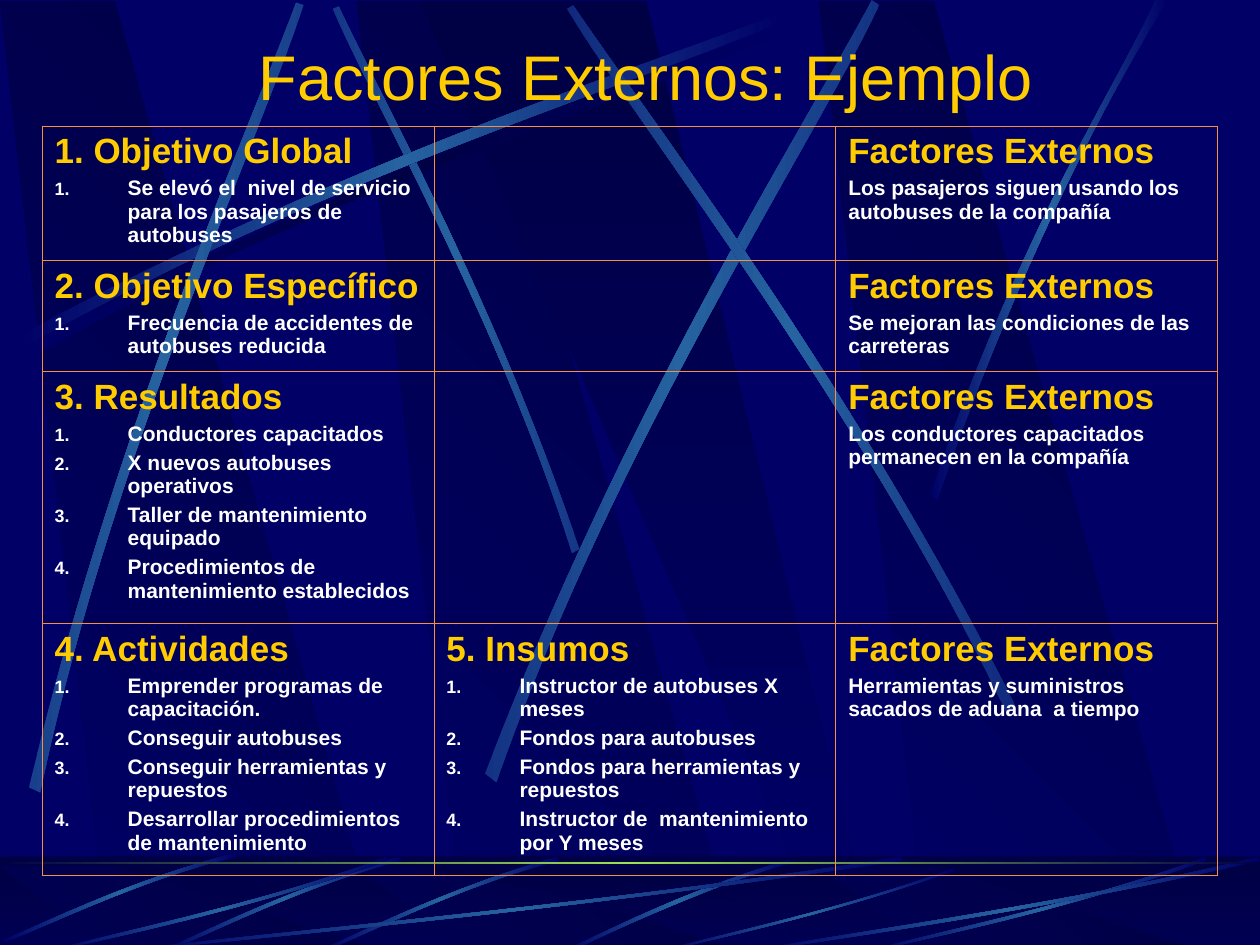
from lxml.etree import SubElement
from pptx import Presentation
from pptx.dml.color import RGBColor
from pptx.enum.shapes import MSO_SHAPE
from pptx.enum.text import MSO_ANCHOR, PP_ALIGN
from pptx.oxml.ns import qn
from pptx.util import Inches, Pt

NAVY, MIDNIGHT, BEAM = "000066", "000044", "2663A0"
GOLD, WHITE, ORANGE, LIME = "FFCC00", "FFFFFF", "F98D43", "9CE157"
FONT = "Arial"
NO_STYLE = "{2D5ABB26-0587-4C30-8999-92F81FD0307C}"


def rgb(value):
    return RGBColor.from_string(value)


def blend(start, end, share):
    pairs = zip(bytes.fromhex(start), bytes.fromhex(end))
    return "".join(f"{round(a + (b - a) * share):02X}" for a, b in pairs)


def bend(shape):
    """Turn both long edges of an eight-point outline into Bézier curves."""
    lines = list(shape._element.iter(qn("a:lnTo")))
    for edge in (lines[:3], lines[4:7]):
        curve = edge[0].makeelement(qn("a:cubicBezTo"))
        edge[0].addprevious(curve)
        for line in edge:
            curve.append(line[0])
            line.getparent().remove(line)


class SlideBuilder:
    def __init__(self, slide):
        self.slide = slide
        self.master = slide.slide_layout.slide_master
        self.master.background.fill.solid()
        self.master.background.fill.fore_color.rgb = rgb(NAVY)
        self.backdrop = slide.shapes.add_group_shape()

    def backdrop_to_master(self):
        for number, props in enumerate(self.backdrop._element.iter(qn("p:cNvPr")), 101):
            props.set("id", str(number))
        self.master.shapes._spTree.insert(2, self.backdrop._element)

    def gradient(self, shape, colors, angle):
        shape.shadow.inherit = False
        shape.line.fill.background()
        shape.fill.gradient()
        grad = shape._element.spPr.find(qn("a:gradFill"))
        stops = grad.find(qn("a:gsLst"))
        for stop in list(stops):
            stops.remove(stop)
        for i, color in enumerate(colors):
            stop = SubElement(stops, qn("a:gs"), pos=str(100000 * i // (len(colors) - 1)))
            SubElement(stop, qn("a:srgbClr"), val=color)
        grad.find(qn("a:lin")).set("ang", str(angle * 60000))

    def outline(self, points, colors, angle):
        corners = [(Inches(x), Inches(y)) for x, y in points]
        builder = self.backdrop.shapes.build_freeform(*corners[0])
        builder.add_line_segments(corners[1:], close=True)
        shape = builder.convert_to_shape()
        self.gradient(shape, colors, angle)
        return shape

    def slabs(self, top, height):
        """Three equal slanted slabs and a wider one, over the given height."""
        for left in (2.83, 0, 6.5):
            profile = ((0.86, 1), (3.02, 1), (0.91, 0), (0, 0))
            self.outline([(left + x, top + height * y) for x, y in profile],
                         (MIDNIGHT, NAVY), 135)
        wide = ((3.33, 0), (6.58, 1), (6.94, 1), (5.13, 0))
        self.outline([(x, top + height * y) for x, y in wide], (MIDNIGHT, NAVY), 90)

    def streak(self, points, dx=0, core=BEAM, edge_glow=0):
        """Thin curved band: four points for one edge, four for the way back."""
        edge = blend(NAVY, core, edge_glow)
        bend(self.outline([(x + dx, y) for x, y in points], (edge, core, edge), 0))

    def band(self, top, height):
        return self.backdrop.shapes.add_shape(MSO_SHAPE.RECTANGLE, 0, Inches(top),
                                              Inches(10), Inches(height))

    def gradient_band(self, top, height, colors, angle):
        self.gradient(self.band(top, height), colors, angle)

    def veil(self, top, height, color, opacity):
        veil = self.band(top, height)
        veil.shadow.inherit = False
        veil.line.fill.background()
        veil.fill.solid()
        veil.fill.fore_color.rgb = rgb(color)
        tone = veil._element.spPr.find(qn("a:solidFill"))[0]
        SubElement(tone, qn("a:alpha"), val=str(opacity * 1000))

    def style(self, paragraph, size, color, bold):
        font = paragraph.font
        font.name, font.size, font.bold = FONT, Pt(size), bold
        font.color.rgb = rgb(color)

    def title(self, text, left, top, width, height):
        title = self.slide.shapes.title
        title.left, title.top = Inches(left), Inches(top)
        title.width, title.height = Inches(width), Inches(height)
        frame = title.text_frame
        frame.text = text
        frame.vertical_anchor = MSO_ANCHOR.MIDDLE
        frame.paragraphs[0].alignment = PP_ALIGN.CENTER
        self.style(frame.paragraphs[0], 36, GOLD, False)

    def number(self, paragraph):
        props = paragraph._p.get_or_add_pPr()
        props.set("marL", str(Inches(0.58)))
        props.set("indent", str(-Inches(0.58)))
        SubElement(SubElement(props, qn("a:buClr")), qn("a:srgbClr"), val=WHITE)
        SubElement(props, qn("a:buSzPct"), val="85000")
        SubElement(props, qn("a:buFont"), typeface=FONT)
        SubElement(props, qn("a:buAutoNum"), type="arabicPeriod")

    def borders(self, cell):
        props = cell._tc.get_or_add_tcPr()
        for side in ("lnL", "lnR", "lnT", "lnB"):
            line = SubElement(props, qn(f"a:{side}"), w=str(Pt(0.45)))
            SubElement(SubElement(line, qn("a:solidFill")), qn("a:srgbClr"), val=ORANGE)

    def fill_cell(self, cell, heading, items, numbered):
        frame = cell.text_frame
        frame.text = "\n".join([heading, *items])
        first, *rest = frame.paragraphs
        first.space_before = Pt(5)
        self.style(first, 20, GOLD, True)
        for paragraph in rest:
            paragraph.space_before = Pt(3)
            if numbered:
                self.number(paragraph)
            self.style(paragraph, 12, WHITE, True)

    def table(self, rows, left, top, widths, heights):
        table = self.slide.shapes.add_table(
            len(heights), len(widths), Inches(left), Inches(top),
            Inches(sum(widths)), Inches(sum(heights))).table
        table.first_row = table.horz_banding = False
        table._tbl.tblPr.find(qn("a:tableStyleId")).text = NO_STYLE
        for column, width in zip(table.columns, widths):
            column.width = Inches(width)
        for row, height in zip(table.rows, heights):
            row.height = Inches(height)
        for r, row in enumerate(rows):
            for c, content in enumerate(row):
                cell = table.cell(r, c)
                self.borders(cell)
                cell.fill.background()
                if content:
                    self.fill_cell(cell, *content, numbered=c < 2)


SHADE = [(0.2, 2.75), (2.84, 1.34), (5.24, 0.59), (6.26, 0.18),
         (6.29, 0.24), (5.28, 0.69), (2.54, 1.51), (0.23, 2.85)]
# Edge glow and points of each long beam
BEAMS = [
    (0.56, [(4.6, 4.36), (3.91, 2.34), (3.02, 0.77), (2.69, 0.05),
            (2.64, 0.07), (2.95, 0.79), (3.98, 2.58), (4.54, 4.39)]),
    (0, [(0.14, 2.67), (2.78, 1.25), (5.18, 0.51), (6.2, 0.1),
         (6.23, 0.16), (5.22, 0.61), (2.48, 1.43), (0.17, 2.77)]),
    (0.64, [(0.23, 6.25), (0.93, 3.34), (1.97, 1.05), (2.35, 0.02),
            (2.41, 0.04), (2.07, 1.08), (0.86, 3.68), (0.32, 6.29)]),
    (0.5, [(3.85, 6.14), (4.98, 3.2), (6.38, 1.02), (6.92, 0),
           (6.98, 0.04), (6.49, 1.08), (4.86, 3.55), (3.94, 6.21)]),
    (0.41, [(8.06, 5.6), (6.7, 2.93), (5.16, 0.95), (4.55, 0.04),
            (4.5, 0.07), (5.07, 1.01), (6.85, 3.25), (7.99, 5.66)]),
    (0, [(7.38, 3.93), (8.14, 1.73), (8.88, 0.66), (9.17, 0),
         (9.27, 0), (8.36, 1.45), (7.69, 3.22), (7.44, 3.97)]),
]
# Horizontal shifts and points of the streaks in the floor
FLOOR_STREAKS = [
    ((0,), [(6.27, 6.82), (5.37, 7.09), (4.77, 7.42), (4.48, 7.54),
            (4.53, 7.55), (4.9, 7.37), (5.71, 7), (6.28, 6.85)]),
    ((1.25, 0), [(3.17, 6.8), (2.3, 7.05), (1.62, 7.4), (1.31, 7.53),
                 (1.32, 7.55), (1.63, 7.43), (2.4, 7.03), (3.19, 6.83)]),
    ((0,), [(1.86, 6.77), (0.99, 7), (0.33, 7.34), (0.02, 7.46),
            (0.03, 7.48), (0.34, 7.37), (1.1, 6.98), (1.88, 6.8)]),
    ((0,), [(7.17, 6.83), (4.49, 7.23), (2.06, 7.44), (1.03, 7.55),
            (1, 7.54), (2.02, 7.41), (4.8, 7.18), (7.14, 6.8)]),
    ((0, 6.5), [(3.08, 6.83), (1.93, 7.23), (0.88, 7.44), (0.43, 7.55),
                (0.42, 7.54), (0.86, 7.41), (2.06, 7.18), (3.07, 6.8)]),
    ((0,), [(7.58, 6.91), (6.58, 7.26), (5.67, 7.45), (5.28, 7.55),
            (5.27, 7.54), (5.65, 7.43), (6.69, 7.22), (7.57, 6.89)]),
    ((0,), [(10, 6.83), (8.27, 7.23), (6.69, 7.44), (6.02, 7.55),
            (6, 7.54), (6.66, 7.41), (8.46, 7.18), (9.98, 6.8)]),
]
EXTERNAL = "Factores Externos"
LOGICAL_FRAMEWORK = [
    [("1. Objetivo Global", ["Se elevó el  nivel de servicio para los pasajeros de autobuses"]),
     None, (EXTERNAL, ["Los pasajeros siguen usando los autobuses de la compañía"])],
    [("2. Objetivo Específico", ["Frecuencia de accidentes de autobuses reducida"]),
     None, (EXTERNAL, ["Se mejoran las condiciones de las carreteras"])],
    [("3. Resultados", ["Conductores capacitados", "X nuevos autobuses operativos",
                        "Taller de mantenimiento equipado",
                        "Procedimientos de mantenimiento establecidos"]),
     None, (EXTERNAL, ["Los conductores capacitados permanecen en la compañía"])],
    [("4. Actividades", ["Emprender programas de capacitación.", "Conseguir autobuses",
                         "Conseguir herramientas y repuestos",
                         "Desarrollar procedimientos de mantenimiento"]),
     ("5. Insumos", ["Instructor de autobuses X meses", "Fondos para autobuses",
                     "Fondos para herramientas y repuestos",
                     "Instructor de  mantenimiento por Y meses"]),
     (EXTERNAL, ["Herramientas y suministros sacados de aduana  a tiempo"])],
]

deck = Presentation()
deck.slide_width, deck.slide_height = Inches(10), Inches(7.5)
page = SlideBuilder(deck.slides.add_slide(deck.slide_layouts[5]))
page.slabs(0.01, 7.5)
page.streak(SHADE, core=MIDNIGHT)
for glow, beam in BEAMS:
    page.streak(beam, edge_glow=glow)
page.gradient_band(6.8, 0.75, (MIDNIGHT, NAVY), 90)
page.slabs(6.88, 0.66)
page.veil(6.79, 0.75, MIDNIGHT, 50)
for shifts, streak in FLOOR_STREAKS:
    for shift in shifts:
        page.streak(streak, dx=shift)
page.gradient_band(6.84, 0.02, (MIDNIGHT, LIME, MIDNIGHT), 0)
page.backdrop_to_master()
page.title("Factores Externos: Ejemplo", 0.25, 0.25, 9.75, 0.7)
page.table(LOGICAL_FRAMEWORK, 1 / 3, 1, (3.11, 3.19, 3.03), (1.07, 0.88, 2, 2))
deck.save("out.pptx")
